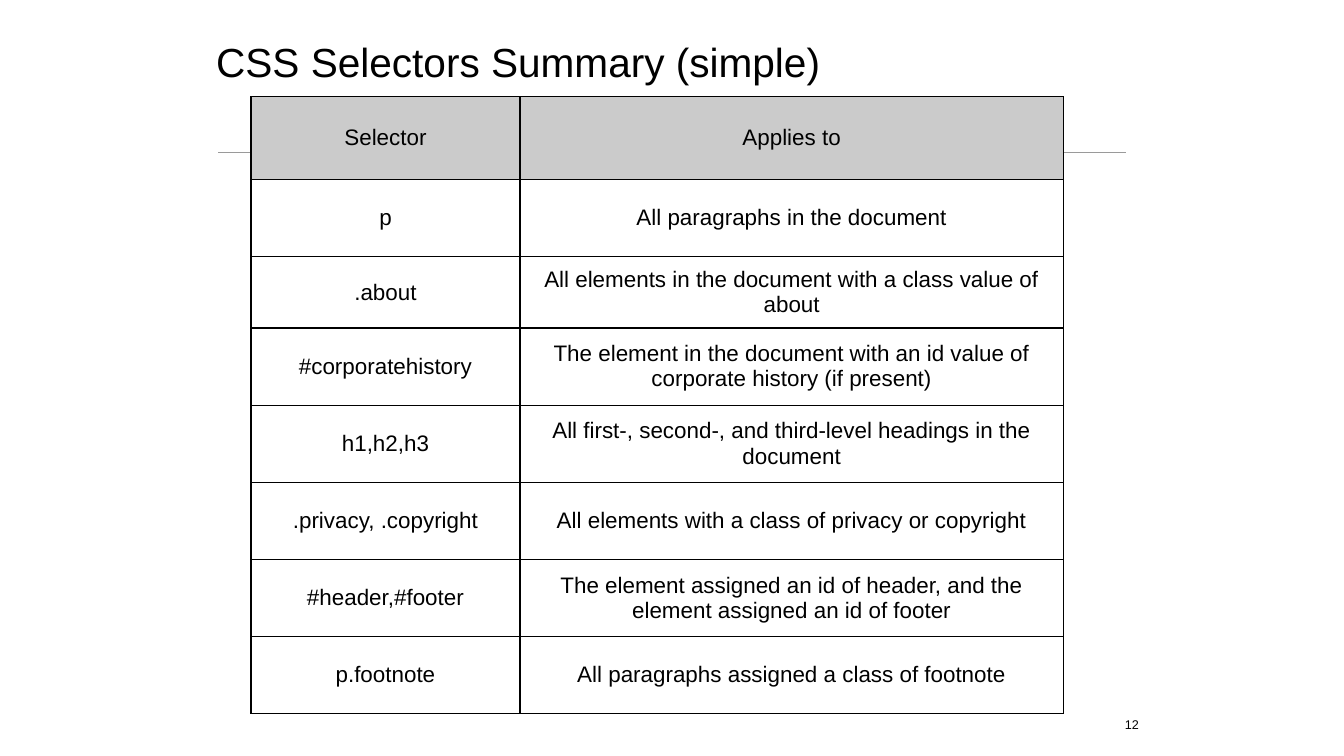
"""Build the slide that summarises the simple CSS selectors in a table."""
from dataclasses import dataclass

from lxml import etree
from pptx import Presentation
from pptx.dml.color import RGBColor
from pptx.enum.shapes import MSO_CONNECTOR
from pptx.enum.text import MSO_ANCHOR, MSO_AUTO_SIZE, PP_ALIGN
from pptx.oxml import parse_xml
from pptx.oxml.ns import nsdecls, qn
from pptx.util import Inches, Pt

STRAIGHT = MSO_CONNECTOR.STRAIGHT
LEFT, CENTER, RIGHT = PP_ALIGN.LEFT, PP_ALIGN.CENTER, PP_ALIGN.RIGHT
TOP, MIDDLE, BOTTOM = MSO_ANCHOR.TOP, MSO_ANCHOR.MIDDLE, MSO_ANCHOR.BOTTOM
NO_FIT = MSO_AUTO_SIZE.NONE

TITLE = "CSS Selectors Summary (simple)"
PAGE_NUMBER = "12"
SELECTORS = [
    ("Selector", "Applies to"),
    ("p", "All paragraphs in the document"),
    (".about", "All elements in the document with a class value of about"),
    ("#corporatehistory",
     "The element in the document with an id value of corporate history (if present)"),
    ("h1,h2,h3", "All first-, second-, and third-level headings in the document"),
    (".privacy, .copyright", "All elements with a class of privacy or copyright"),
    ("#header,#footer",
     "The element assigned an id of header, and the element assigned an id of footer"),
    ("p.footnote", "All paragraphs assigned a class of footnote"),
]
COLUMN_WIDTHS = [5.34, 10.78]
ROW_HEIGHTS = [1.64, 1.53, 1.42] + [1.53] * 5


@dataclass(frozen=True)
class Theme:
    """Colours, font and type sizes of the slide."""
    font: str = "Arial"
    ink: str = "000000"
    rule: str = "9A9A9A"
    header: str = "CBCBCB"
    title_size: int = 58
    table_size: int = 32
    number_size: int = 18
    border: int = 2


THEME = Theme()


def write(frame, text, size, align):
    """Put one formatted paragraph into a text frame."""
    frame.text = text
    para = frame.paragraphs[0]
    para.alignment = align
    para.font.name = THEME.font
    para.font.size = Pt(size)
    para.font.color.rgb = RGBColor.from_string(THEME.ink)


def set_margins(holder, inches):
    """Give a cell or text frame the same margin on every side."""
    for side in ("left", "right", "top", "bottom"):
        setattr(holder, f"margin_{side}", Inches(inches))


def add_borders(cell):
    """Draw a solid line on all four sides of a cell."""
    properties = cell._tc.get_or_add_tcPr()
    for side in "LRTB":
        properties.append(parse_xml(
            f'<a:ln{side} {nsdecls("a")} w="{Pt(THEME.border)}"><a:solidFill>'
            f'<a:srgbClr val="{THEME.ink}"/></a:solidFill></a:ln{side}>'))


def add_rule(page):
    """Draw the thin line below the title."""
    rule = page.shapes.add_connector(
        STRAIGHT, Inches(4.33), Inches(3.03), Inches(22.34), Inches(3.03))
    rule.line.color.rgb = RGBColor.from_string(THEME.rule)
    rule.line.width = Pt(1)
    etree.SubElement(rule._element.spPr, qn("a:effectLst"))


def add_title(page):
    """Place and format the title."""
    title = page.shapes.title
    title.left, title.top = Inches(4.21), Inches(0.51)
    title.width, title.height = Inches(18.24), Inches(1.27)
    frame = title.text_frame
    frame.auto_size = NO_FIT
    frame.vertical_anchor = BOTTOM
    set_margins(frame, 0.08)
    write(frame, TITLE, THEME.title_size, LEFT)


def add_page_number(page):
    """Write the page number in the lower right."""
    box = page.shapes.add_textbox(
        Inches(22.2), Inches(14.14), Inches(0.48), Inches(0.47))
    frame = box.text_frame
    frame.word_wrap = False
    frame.vertical_anchor = TOP
    set_margins(frame, 0.08)
    write(frame, PAGE_NUMBER, THEME.number_size, RIGHT)


def add_selector_table(page):
    """Build the table of selectors."""
    table = page.shapes.add_table(
        len(SELECTORS), len(COLUMN_WIDTHS), Inches(4.98), Inches(1.92),
        Inches(sum(COLUMN_WIDTHS)), Inches(sum(ROW_HEIGHTS))).table
    table.first_row = table.horz_banding = False
    for column, width in zip(table.columns, COLUMN_WIDTHS):
        column.width = Inches(width)
    for index, (row, height, texts) in enumerate(
            zip(table.rows, ROW_HEIGHTS, SELECTORS)):
        row.height = Inches(height)
        for cell, text in zip(row.cells, texts):
            write(cell.text_frame, text, THEME.table_size, CENTER)
            cell.vertical_anchor = MIDDLE
            set_margins(cell, 0.06)
            add_borders(cell)
            if index == 0:
                cell.fill.solid()
                cell.fill.fore_color.rgb = RGBColor.from_string(THEME.header)
            else:
                cell.fill.background()


def main():
    """Create the deck and save it."""
    deck = Presentation()
    deck.slide_width, deck.slide_height = Inches(26.67), Inches(15)
    page = deck.slides.add_slide(deck.slide_layouts[5])
    add_rule(page)
    add_title(page)
    add_page_number(page)
    add_selector_table(page)
    deck.save("out.pptx")


if __name__ == "__main__":
    main()
